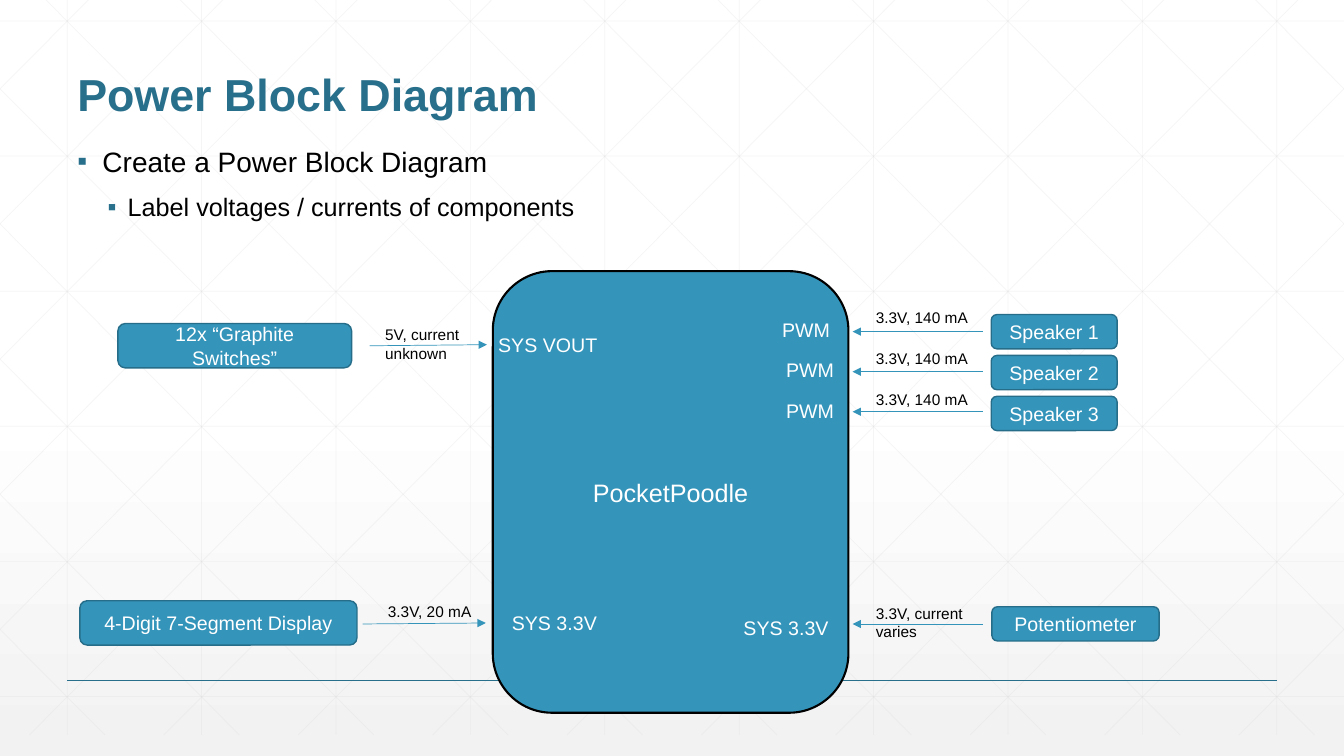
import pptx
import pptx.util
import pptx.dml.color
import pptx.enum.shapes
import pptx.enum.text
import pptx.oxml.ns
import pptx.oxml.xmlchemy

Pt = pptx.util.Pt
RGBColor = pptx.dml.color.RGBColor
ALIGN = pptx.enum.text.PP_ALIGN
ANCHOR = pptx.enum.text.MSO_ANCHOR
SHAPE = pptx.enum.shapes.MSO_SHAPE
qn = pptx.oxml.ns.qn

WHITE = RGBColor(0xFF, 0xFF, 0xFF)
BLACK = RGBColor(0x00, 0x00, 0x00)
PALE = RGBColor(0xF2, 0xF2, 0xF2)
GRID = RGBColor(0xD9, 0xD9, 0xD9)
TEAL = RGBColor(0x27, 0x6F, 0x8B)
EDGE = RGBColor(0x26, 0x6D, 0x8A)
BLUE = RGBColor(0x34, 0x94, 0xBA)
FONT = "Arial"


def add_xml(parent, tag, **attributes):
    child = pptx.oxml.xmlchemy.OxmlElement(tag)
    for name, value in attributes.items():
        child.set(name, str(value))
    parent.append(child)
    return child


def add_run(p, text, size, color, bold=False):
    r = p.add_run()
    r.text = text
    r.font.name = FONT
    r.font.size = Pt(size)
    r.font.bold = bold
    r.font.color.rgb = color


def place(sp, box):
    sp.left, sp.top, sp.width, sp.height = (Pt(v) for v in box)


def add_line(s, start, end, color, width):
    sp = s.shapes.add_connector(
        pptx.enum.shapes.MSO_CONNECTOR.STRAIGHT, *(Pt(v) for v in (*start, *end)))
    sp.line.color.rgb = color
    sp.line.width = Pt(width)
    add_xml(sp.element.spPr, "a:effectLst")
    return sp


def add_label(s, box, text, size, color, align=ALIGN.LEFT, anchor=ANCHOR.TOP):
    sp = s.shapes.add_textbox(*(Pt(v) for v in box))
    tf = sp.text_frame
    tf.word_wrap = True
    tf.vertical_anchor = anchor
    tf.paragraphs[0].alignment = align
    add_run(tf.paragraphs[0], text, size, color)


def add_block(s, box, text, size, edge, width):
    sp = s.shapes.add_shape(SHAPE.ROUNDED_RECTANGLE, *(Pt(v) for v in box))
    sp.shadow.inherit = False
    sp.fill.solid()
    sp.fill.fore_color.rgb = BLUE
    sp.line.color.rgb = edge
    sp.line.width = Pt(width)
    tf = sp.text_frame
    tf.vertical_anchor = ANCHOR.MIDDLE
    tf.paragraphs[0].alignment = ALIGN.CENTER
    add_run(tf.paragraphs[0], text, size, WHITE)


def draw_backdrop(s, box):
    left, top, width, height = box
    right, bottom = left + width, top + height
    fill = s.background.fill
    fill.gradient()
    fill.gradient_angle = 270
    for stop, position, color in zip(fill.gradient_stops, (0.53, 1), (WHITE, PALE)):
        stop.position = position
        stop.color.rgb = color

    step, run = 96, 537
    lines = [((x, top), (x, bottom)) for x in range(48, 960, step)]
    for i in range(6):
        y = top + 30 + 96.5 * i
        lines.append(((left, y), (right, y)))
    for i in range(-5, 10):
        x = 18 + step * i
        x1, x2 = max(x, left), min(x + run, right)
        y1, y2 = (top + (v - x) * height / run for v in (x1, x2))
        lines.append(((x1, y1), (x2, y2)))
        lines.append(((right - x1, y1), (right - x2, y2)))
    for start, end in lines:
        sp = add_line(s, start, end, GRID, 0.5)
        color = sp.element.spPr.find(".//" + qn("a:srgbClr"))
        add_xml(color, "a:alpha", val=25000)
    add_line(s, (48, 486), (912, 486), TEAL, 1)


def fill_title(s, box, text):
    sp = s.shapes.title
    sp.element.getparent().append(sp.element)
    place(sp, box)
    tf = sp.text_frame
    tf.vertical_anchor = ANCHOR.BOTTOM
    p = tf.paragraphs[0]
    p.alignment = ALIGN.LEFT
    p.line_spacing = 0.9
    add_run(p, text, 32, TEAL, True)


def fill_body(s, box, items):
    sp = s.placeholders[1]
    sp.element.getparent().append(sp.element)
    place(sp, box)
    tf = sp.text_frame
    styles = ((18, -18, 18, 20), (36, -14.4, 12, 18))
    for i, (level, text) in enumerate(items):
        p = tf.add_paragraph() if i else tf.paragraphs[0]
        margin, indent, before, size = styles[level]
        p.level = level
        p.line_spacing = 0.9
        p.space_before = Pt(before)
        pPr = p._p.get_or_add_pPr()
        pPr.set("marL", str(Pt(margin)))
        pPr.set("indent", str(Pt(indent)))
        add_xml(add_xml(pPr, "a:buClr"), "a:srgbClr", val=TEAL)
        add_xml(pPr, "a:buFont", typeface=FONT)
        add_xml(pPr, "a:buChar", char="▪")
        add_run(p, text, size, BLACK)


def draw_link(s, origin, part, arrow, label, pin):
    def shift(box):
        return (origin[0] + box[0], origin[1] + box[1], *box[2:])

    add_block(s, shift(part[1]), part[0], 14, EDGE, 1)
    sp = add_line(s, shift(arrow[0]), shift(arrow[1]), BLUE, 0.5)
    add_xml(sp.element.spPr.find(qn("a:ln")), "a:tailEnd", type="triangle")
    add_label(s, shift(label[1]), label[0], 11, BLACK)
    align, anchor = pin[2:]
    add_label(s, shift(pin[1]), pin[0], 14, WHITE, align, anchor)


def draw_diagram(s, box):
    add_block(s, box, "PocketPoodle", 18, BLACK, 1.5)
    origin = box[:2]
    middle = (ALIGN.CENTER, ANCHOR.MIDDLE)
    corner = (ALIGN.LEFT, ANCHOR.TOP)
    links = [
        (("12x “Graphite Switches”", (-267.8, 37.4, 167, 31.7)),
         ((-88, 53.3), (-4.2, 52.5)),
         ("5V, current unknown", (-84, 35.3, 90, 34)),
         ("SYS VOUT", (-4.2, 36.7, 87, 31.7), *middle)),
        (("4-Digit 7-Segment Display", (-295, 235.4, 198, 31.7)),
         ((-93, 252), (-5, 251.3)),
         ("3.3V, 20 mA", (-82, 232.5, 90, 21)),
         ("SYS 3.3V", (-10.7, 235.4, 109.4, 31.7), *middle)),
        (("Potentiometer", (356.5, 239.7, 119.5, 24.5)),
         ((350, 252), (257, 252)),
         ("3.3V, current varies", (266.5, 234, 90, 34)),
         ("SYS 3.3V", (170, 239, 79, 31.7), *middle)),
    ]
    for i, pin_left in enumerate((199.5, 202.4, 202.4)):
        y = 29.2 * i
        arrow_y = 43.2 + 28.6 * i
        links.append(
            ((f"Speaker {i + 1}", (356, 31 + y, 90, 24.5)),
             ((350, arrow_y), (257, arrow_y)),
             ("3.3V, 140 mA", (266.5, 23 + y, 87, 21)),
             ("PWM", (pin_left, 29.5 + y, 60, 24.5), *corner)))
    for link in links:
        draw_link(s, origin, *link)


def main():
    prs = pptx.Presentation()
    prs.slide_width, prs.slide_height = Pt(960), Pt(540)
    s = prs.slides.add_slide(prs.slide_layouts[1])
    draw_backdrop(s, (0, -15, 960, 540))
    fill_title(s, (48, 18, 864, 72), "Power Block Diagram")
    fill_body(s, (48, 102, 864, 372), (
        (0, "Create a Power Block Diagram"),
        (1, "Label voltages / currents of components")))
    draw_diagram(s, (352, 193.7, 254, 315.4))
    prs.save("out.pptx")


if __name__ == "__main__":
    main()
